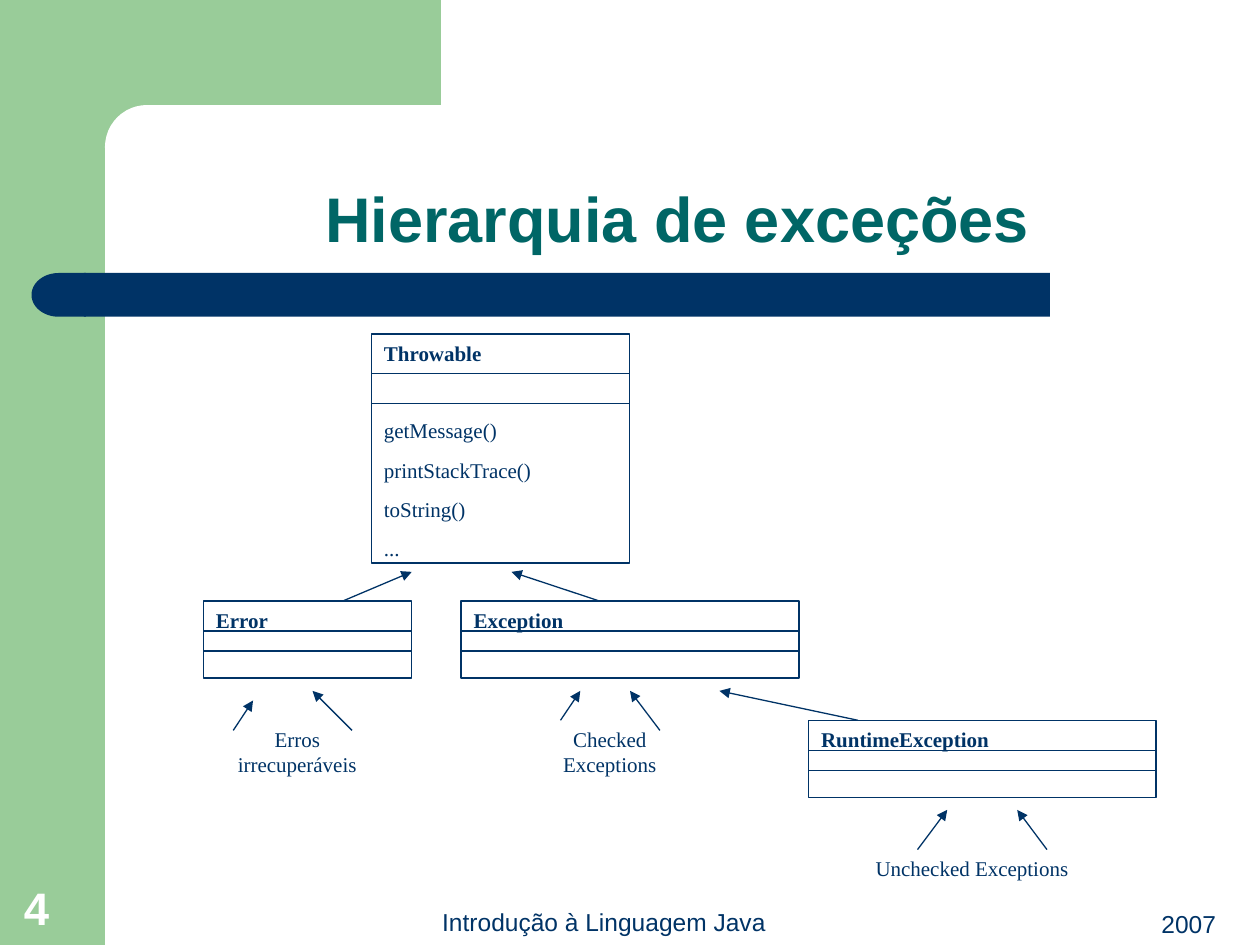
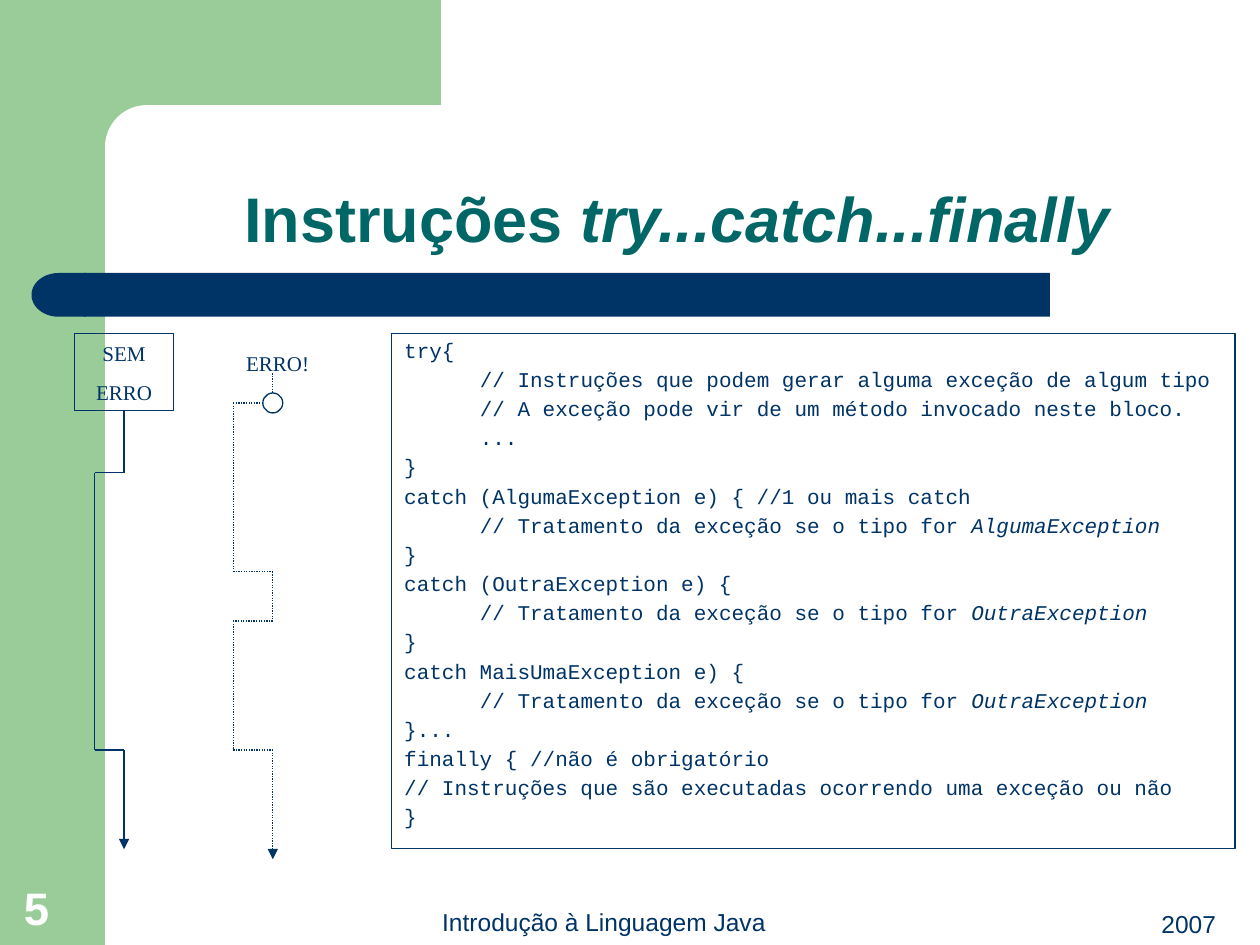
from itertools import pairwise

from lxml.etree import SubElement
from pptx import Presentation
from pptx.dml.color import RGBColor
from pptx.enum.dml import MSO_LINE
from pptx.enum.shapes import MSO_CONNECTOR, MSO_SHAPE
from pptx.enum.text import MSO_ANCHOR, MSO_AUTO_SIZE, PP_ALIGN
from pptx.oxml.ns import qn
from pptx.util import Pt

NAVY, TEAL, GREEN, WHITE = "003366", "006666", "99CC99", "FFFFFF"
TITLE = {"name": "Arial", "size": Pt(36), "bold": True}
FOOTER = {"name": "Arial", "size": Pt(14)}
NUMBER = {"name": "Arial", "size": Pt(26), "bold": True}
SERIF = {"name": "Times New Roman", "size": Pt(12)}
HEADING = {**SERIF, "bold": True}
CODE = {"name": "Courier New", "size": Pt(12)}
CENTERED = {"alignment": PP_ALIGN.CENTER}
SPACED = {"space_before": Pt(8.1)}
AFTER_GAP = {"space_before": Pt(30)}
CODE_LINE = {"space_before": Pt(3.7), "line_spacing": 0.9}
CODE_INDENT = 43.2


def color(value):
    return RGBColor.from_string(value)


def assign(target, values):
    for name, value in values.items():
        setattr(target, name, value)


def shifted(origin, box):
    return (origin[0] + box[0], origin[1] + box[1], *box[2:])


def points(values):
    return [Pt(value) for value in values]


def write(shape, paragraphs, anchor=MSO_ANCHOR.TOP, tint=NAVY):
    frame = shape.text_frame
    assign(frame, {"word_wrap": True, "auto_size": MSO_AUTO_SIZE.NONE,
                   "vertical_anchor": anchor,
                   "margin_left": Pt(7.2), "margin_right": Pt(7.2),
                   "margin_top": Pt(3.6), "margin_bottom": Pt(3.6)})
    for index, (spans, layout, font) in enumerate(paragraphs):
        para = frame.add_paragraph() if index else frame.paragraphs[0]
        assign(para, {"alignment": PP_ALIGN.LEFT, **layout})
        for text, italic in spans:
            span = para.add_run()
            span.text = text
            assign(span.font, {**font, "italic": italic})
            span.font.color.rgb = color(tint)


def plain(text, layout, font):
    return [(text, False)], layout, font


def add_text(page, box, paragraphs, anchor=MSO_ANCHOR.TOP, tint=NAVY):
    shape = page.shapes.add_textbox(*points(box))
    write(shape, paragraphs, anchor, tint)


def add_label(page, box, text):
    add_text(page, box, [plain(text, CENTERED, SERIF)])


def add_shape(page, kind, box, fill=None, outline=None):
    shape = page.shapes.add_shape(kind, *points(box))
    shape.shadow.inherit = False
    if fill:
        shape.fill.solid()
        shape.fill.fore_color.rgb = color(fill)
    else:
        shape.fill.background()
    if outline:
        shape.line.color.rgb = color(outline)
        shape.line.width = Pt(0.75)
    else:
        shape.line.fill.background()
    return shape


def add_line(page, start, end, arrow=False, dotted=False):
    line = page.shapes.add_connector(MSO_CONNECTOR.STRAIGHT, *points((*start, *end)))
    line.line.color.rgb = color(NAVY)
    line.line.width = Pt(0.75)
    if dotted:
        line.line.dash_style = MSO_LINE.ROUND_DOT
    if arrow:
        SubElement(line.get_or_add_ln(), qn("a:tailEnd"), type="triangle")
    SubElement(line.element.spPr, qn("a:effectLst"))
    return line


def add_route(page, origin, stops, dotted=False):
    legs = list(pairwise(shifted(origin, stop) for stop in stops))
    return [add_line(page, start, end, arrow=leg == len(legs) - 1, dotted=dotted)
            for leg, (start, end) in enumerate(legs)]


def build_backdrop(page):
    bands = [
        (MSO_SHAPE.RECTANGLE, (0, 0, 60, 540), GREEN),
        (MSO_SHAPE.RECTANGLE, (54, 0, 198, 84), GREEN),
        (MSO_SHAPE.ROUNDED_RECTANGLE, (60, 60, 402, 48), WHITE),
        (MSO_SHAPE.RECTANGLE, (48, 156, 552, 25), NAVY),
        (MSO_SHAPE.FLOWCHART_DELAY, (18, 156, 31, 25), NAVY),
    ]
    shapes = [add_shape(page, kind, box, fill) for kind, box, fill in bands]
    shapes[2].adjustments[0] = 0.5
    shapes[4].rotation = 180
    layout = page.slide_layout
    for spare in list(layout.placeholders)[1:]:
        spare.element.getparent().remove(spare.element)
    for shape in shapes:
        layout.shapes.element.append(shape.element)


def build_title(page, spans):
    title = page.shapes.title
    assign(title, dict(zip(("left", "top", "width", "height"),
                           points((72, 60, 630, 90)))))
    write(title, [(spans, {**CENTERED, "line_spacing": 0.9}, TITLE)],
          MSO_ANCHOR.BOTTOM, TEAL)


def build_footer(page, number):
    footers = [
        ((231.1, 514, 228.2, 24.5), "Introdução à Linguagem Java", CENTERED, FOOTER, NAVY),
        ((6.5, 468, 46, 69.8), number, {}, NUMBER, WHITE),
        ((552, 515.5, 150, 24.5), "2007", {"alignment": PP_ALIGN.RIGHT}, FOOTER, NAVY),
    ]
    for box, text, layout, font, tint in footers:
        add_text(page, box, [plain(text, layout, font)], MSO_ANCHOR.BOTTOM, tint)


def build_class(page, box, name, methods=(), dividers=(17.1, 28.6)):
    left, top, width, _ = box
    frame = add_shape(page, MSO_SHAPE.RECTANGLE, box, outline=NAVY)
    write(frame, [plain(name, {}, HEADING)] + [
        plain(method, SPACED if index else AFTER_GAP, SERIF)
        for index, method in enumerate(methods)])
    for offset in dividers:
        add_line(page, (left, top + offset), (left + width, top + offset))


def build_hierarchy(page, origin):
    build_class(page, shifted(origin, (96, 0, 147.6, 131)), "Throwable",
                ("getMessage()", "printStackTrace()", "toString()", "..."), (22.5, 39.6))
    subclasses = [
        ((0, 152.7, 119, 44), "Error"),
        ((147.2, 152.7, 193, 44), "Exception"),
        ((345.8, 220.8, 198.5, 44), "RuntimeException"),
    ]
    for box, name in subclasses:
        build_class(page, shifted(origin, box), name)
    arrows = [
        ((79.5, 152.7), (119, 136)), ((226.4, 152.7), (176, 136)),
        ((374, 220.8), (294.8, 204)),
        ((17, 226.6), (28.3, 209.5)), ((84.9, 226.6), (62.3, 204)),
        ((204, 220.8), (215.3, 204)), ((260.8, 226.6), (243.7, 204)),
        ((408, 294.7), (425, 272)), ((482, 294.7), (465, 272)),
    ]
    for start, end in arrows:
        add_line(page, shifted(origin, start), shifted(origin, end), arrow=True)
    groups = [
        ((11.1, 221, 85, 36), "Erros irrecuperáveis"),
        ((186.8, 221, 90.7, 36), "Checked Exceptions"),
        ((368.3, 294.5, 141.8, 21.6), "Unchecked Exceptions"),
    ]
    for box, text in groups:
        add_label(page, shifted(origin, box), text)


def build_normal_flow(page, origin):
    frame = add_shape(page, MSO_SHAPE.RECTANGLE,
                      shifted(origin, (0, 0, 56.8, 44)), outline=NAVY)
    write(frame, [plain("SEM", CENTERED, SERIF),
                  plain("ERRO", {**CENTERED, **SPACED}, SERIF)])
    middle, side = 28.4, 11.5
    route = add_route(page, origin, [
        (middle, 44), (middle, 79.2), (side, 79.2),
        (side, 237.8), (middle, 237.8), (middle, 294.5)])
    route[0].begin_connect(frame, 2)


def build_error_flow(page, origin):
    add_label(page, shifted(origin, (0, 0, 62.6, 21.6)), "ERRO!")
    middle, side, radius, center = 28.5, 5.9, 5.7, 33.7
    circle = add_shape(page, MSO_SHAPE.OVAL, shifted(
        origin, (middle - radius, center - radius, 2 * radius, 2 * radius)), outline=NAVY)
    stem = add_line(page, shifted(origin, (middle, 16.7)),
                    shifted(origin, (middle, center - radius)), dotted=True)
    stem.end_connect(circle, 0)
    add_route(page, origin, [
        (middle - radius, center), (side, center), (side, 130.1), (middle, 130.1),
        (middle, 158.3), (side, 158.3), (side, 232), (middle, 232), (middle, 294.4)],
        dotted=True)


def build_code(page, box):
    treatment = "// Tratamento da exceção se o tipo for "
    lines = [
        (0, "try{", ""),
        (1, "// Instruções que podem gerar alguma exceção de algum tipo", ""),
        (1, "// A exceção pode vir de um método invocado neste bloco.", ""),
        (1, "...", ""),
        (0, "}", ""),
        (0, "catch (AlgumaException e) { //1 ou mais catch", ""),
        (1, treatment, "AlgumaException"),
        (0, "}", ""),
        (0, "catch (OutraException e) {", ""),
        (1, treatment, "OutraException"),
        (0, "}", ""),
        (0, "catch MaisUmaException e) {", ""),
        (1, treatment, "OutraException"),
        (0, "}...", ""),
        (0, "finally { //não é obrigatório", ""),
        (0, "// Instruções que são executadas ocorrendo uma exceção ou não", ""),
        (0, "}", ""),
    ]
    frame = add_shape(page, MSO_SHAPE.RECTANGLE, box, outline=NAVY)
    write(frame, [([(text, False)] + ([(emphasis, True)] if emphasis else []),
                   CODE_LINE, CODE) for _, text, emphasis in lines])
    for para, (level, _, _) in zip(frame.text_frame.paragraphs, lines):
        if level:
            para._p.get_or_add_pPr().set("marL", str(Pt(CODE_INDENT * level)))


def main():
    deck = Presentation()
    deck.slide_width, deck.slide_height = Pt(720), Pt(540)
    layout = deck.slide_layouts[5]

    page = deck.slides.add_slide(layout)
    build_backdrop(page)
    build_title(page, [("Hierarquia de exceções", False)])
    build_hierarchy(page, (116.3, 190.8))
    build_footer(page, "4")

    page = deck.slides.add_slide(layout)
    build_title(page, [("Instruções ", False), ("try...catch...finally", True)])
    build_code(page, (223.9, 190.8, 481.9, 294))
    build_normal_flow(page, (42.5, 190.8))
    build_error_flow(page, (127.4, 196.6))
    build_footer(page, "5")

    deck.save("out.pptx")


if __name__ == "__main__":
    main()
